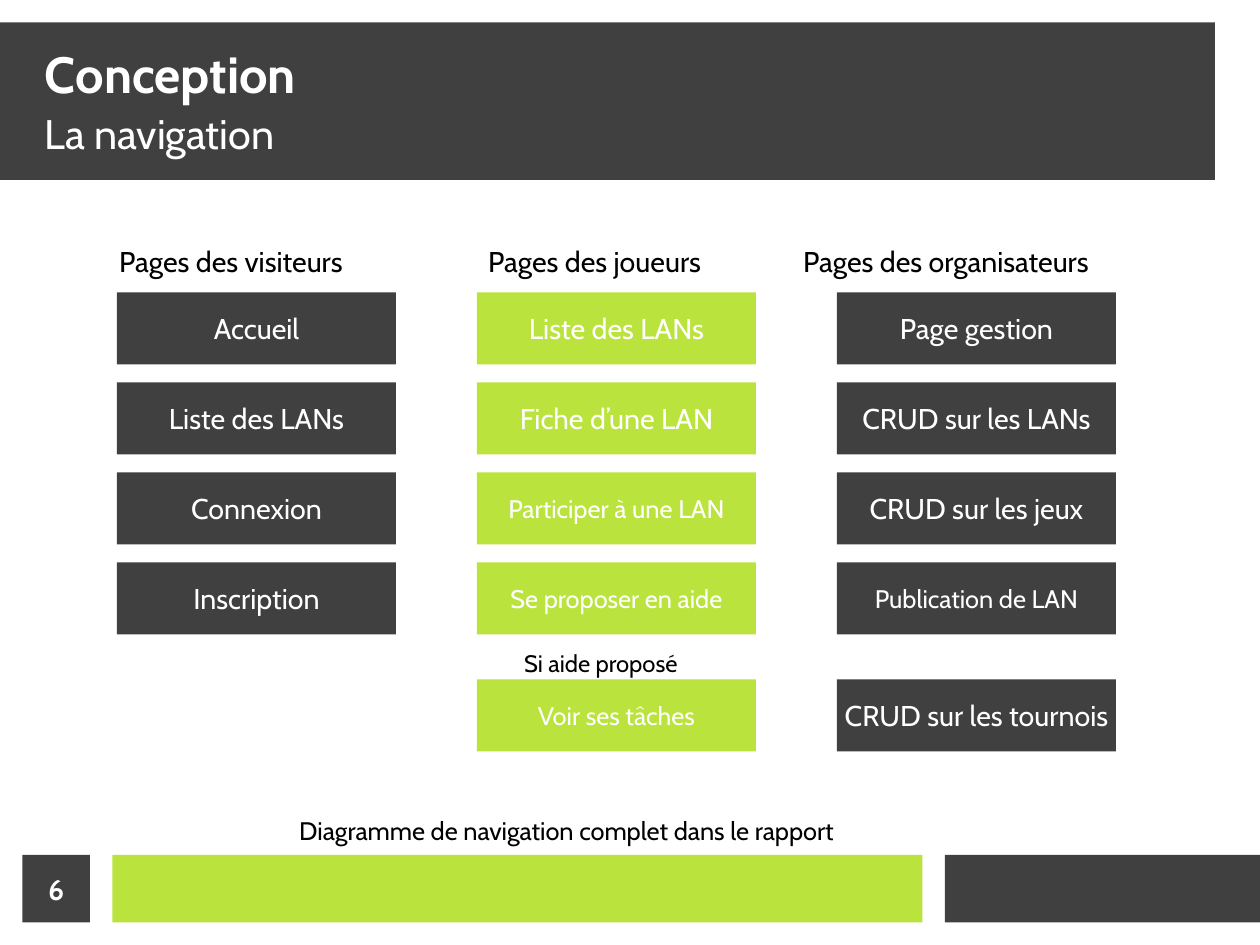
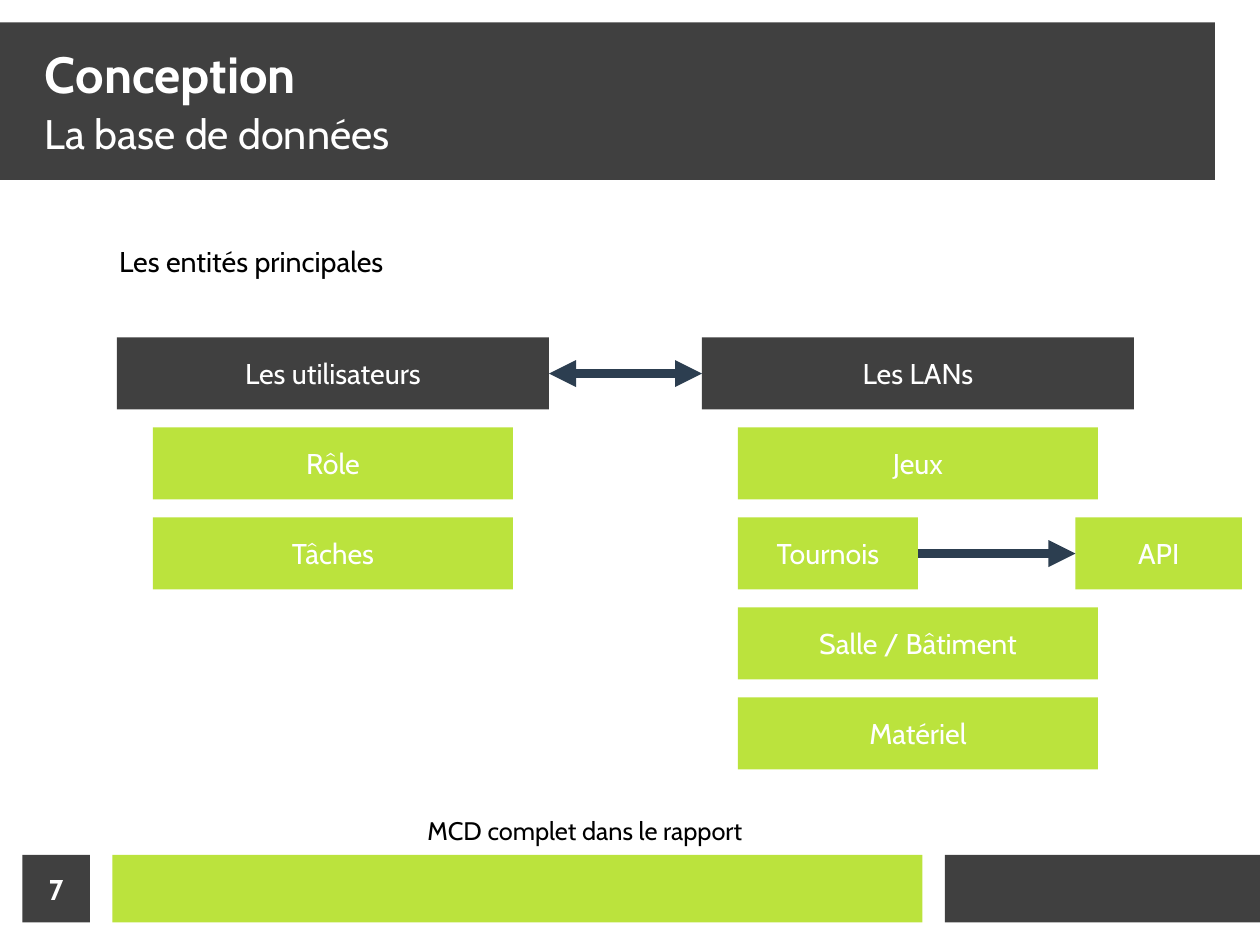
from lxml import etree
from pptx import Presentation
from pptx.dml.color import RGBColor
from pptx.enum.shapes import MSO_CONNECTOR, MSO_SHAPE
from pptx.enum.text import MSO_ANCHOR, MSO_AUTO_SIZE, PP_ALIGN
from pptx.oxml.ns import qn
from pptx.util import Cm, Pt

DARK = RGBColor(0x40, 0x40, 0x40)
GREEN = RGBColor(0xBB, 0xE3, 0x3D)
NAVY = RGBColor(0x2C, 0x3E, 0x50)
WHITE = RGBColor(0xFF, 0xFF, 0xFF)
BLACK = RGBColor(0, 0, 0)
RECT = MSO_SHAPE.RECTANGLE
STRAIGHT = MSO_CONNECTOR.STRAIGHT
LEFT, CENTER = PP_ALIGN.LEFT, PP_ALIGN.CENTER
TOP, MIDDLE, BOTTOM = MSO_ANCHOR.TOP, MSO_ANCHOR.MIDDLE, MSO_ANCHOR.BOTTOM
NO_FIT = MSO_AUTO_SIZE.NONE
FONT = "Cabin"
BOX_HEIGHT = 1.6
ROW_STEP = 2
SIDE_LEFT, SIDE_RIGHT = 1, 3
BANDS = [(21, 19, 7, 1.5, DARK), (0, 0.5, 27, 3.5, DARK), (2.5, 19, 18, 1.5, GREEN)]


class Deck:
    """Hold the shared style and the slide being built."""

    def __init__(self):
        self.prs = Presentation()
        self.prs.slide_width, self.prs.slide_height = Cm(28), Cm(21)
        self.layout = self.prs.slide_layouts[0]
        self.s = None

    def new_slide(self, number, title, subtitle):
        """Add a slide with its titles and number."""
        first = self.s is None
        self.s = self.prs.slides.add_slide(self.layout)
        if first:
            self.add_bands()
        self.heading(self.s.shapes.title, 0.8, title, 32, True)
        self.heading(self.s.placeholders[1], 2, subtitle, 26, False)
        sp = self.rect(0.5, 19, 1.5, 1.5, DARK)
        self.put_text(sp, str(number), 18, WHITE, CENTER, MIDDLE, bold=True)

    def add_bands(self):
        """Move the shared bands to the back of the layout."""
        tree = self.layout.shapes.element
        for i, band in enumerate(BANDS):
            el = self.rect(*band).element
            el.xpath(".//p:cNvPr")[0].set("id", str(100 + i))
            tree.insert(2 + i, el)

    def heading(self, sp, y, text, size, bold):
        """Place and fill a title placeholder."""
        sp.left, sp.top, sp.width, sp.height = Cm(1), Cm(y), Cm(26), Cm(1.5)
        self.put_text(sp, text, size, WHITE, LEFT, BOTTOM, bold=bold)
        tf = sp.text_frame
        tf.margin_left = tf.margin_right = tf.margin_top = tf.margin_bottom = 0

    def put_text(self, sp, text, size, color, align, anchor, bold=False, wrap=True):
        """Put one formatted run in a shape."""
        tf = sp.text_frame
        tf.auto_size, tf.word_wrap, tf.vertical_anchor = NO_FIT, wrap, anchor
        p = tf.paragraphs[0]
        p.alignment, p.space_before = align, Pt(0)
        r = p.add_run()
        r.text = text
        r.font.name, r.font.size, r.font.bold = FONT, Pt(size), bold
        r.font.color.rgb = color

    def rect(self, x, y, w, h, color):
        """Add a plain filled rectangle."""
        sp = self.s.shapes.add_shape(RECT, Cm(x), Cm(y), Cm(w), Cm(h))
        sp.shadow.inherit = False
        sp.fill.solid()
        sp.fill.fore_color.rgb = color
        sp.line.fill.background()
        return sp

    def box(self, x, y, w, text, color, size=18):
        """Add a labelled box."""
        sp = self.rect(x, y, w, BOX_HEIGHT, color)
        self.put_text(sp, text, size, WHITE, CENTER, MIDDLE, wrap=False)
        return sp

    def label(self, x, y, w, text, size=18):
        """Add a line of black text."""
        sp = self.s.shapes.add_textbox(Cm(x), Cm(y), Cm(w), Cm(1))
        self.put_text(sp, text, size, BLACK, LEFT, TOP)

    def arrow(self, start, end, both=False):
        """Join the facing sides of two boxes."""
        c = self.s.shapes.add_connector(STRAIGHT, 0, 0, 0, 0)
        c.begin_connect(start, SIDE_RIGHT)
        c.end_connect(end, SIDE_LEFT)
        c.line.color.rgb, c.line.width = NAVY, Pt(5.67)
        ln = c.element.spPr.find(qn("a:ln"))
        for tag in ("a:headEnd", "a:tailEnd") if both else ("a:tailEnd",):
            etree.SubElement(ln, qn(tag), type="triangle")
        etree.SubElement(c.element.spPr, qn("a:effectLst"))


def navigation(deck):
    """Build the page navigation slide."""
    deck.new_slide(6, "Conception", "La navigation")
    rows = [6.5 + ROW_STEP * i for i in range(4)] + [15.1]
    columns = [
        (2.4, "Pages des visiteurs", DARK,
         [("Accueil", 18), ("Liste des LANs", 18), ("Connexion", 18), ("Inscription", 18)]),
        (10.6, "Pages des joueurs", GREEN,
         [("Liste des LANs", 18), ("Fiche d’une LAN", 18), ("Participer à une LAN", 16),
          ("Se proposer en aide", 16), ("Voir ses tâches", 16)]),
        (17.6, "Pages des organisateurs", DARK,
         [("Page gestion", 18), ("CRUD sur les LANs", 18), ("CRUD sur les jeux", 18),
          ("Publication de LAN", 16), ("CRUD sur les tournois", 18)]),
    ]
    for i, (label_x, name, color, pages) in enumerate(columns):
        deck.label(label_x, 5.3, 8.4, name)
        for y, (page, size) in zip(rows, pages):
            deck.box(2.6 + 8 * i, y, 6.2, page, color, size)
    deck.label(11.4, 14.3, 4.6, "Si aide proposé", 15)
    deck.label(6.4, 18, 14.8, "Diagramme de navigation complet dans le rapport", 16)


def database(deck):
    """Build the main entities slide."""
    deck.new_slide(7, "Conception", "La base de données")
    deck.label(2.4, 5.3, 8.6, "Les entités principales")
    deck.label(9.25, 18, 8.75, "MCD complet dans le rapport", 16)
    groups = [
        (2.6, "Les utilisateurs", [("Rôle", 8), ("Tâches", 8)]),
        (15.6, "Les LANs",
         [("Jeux", 8), ("Tournois", 4), ("Salle / Bâtiment", 8), ("Matériel", 8)]),
    ]
    boxes = {}
    for x, entity, parts in groups:
        boxes[entity] = deck.box(x, 7.5, 9.6, entity, DARK)
        for i, (part, w) in enumerate(parts, 1):
            boxes[part] = deck.box(x + 0.8, 7.5 + ROW_STEP * i, w, part, GREEN)
    api = deck.box(23.9, 11.5, 3.7, "API", GREEN)
    deck.arrow(boxes["Les utilisateurs"], boxes["Les LANs"], both=True)
    deck.arrow(boxes["Tournois"], api)


def main():
    """Build and save the presentation."""
    deck = Deck()
    navigation(deck)
    database(deck)
    deck.prs.save("out.pptx")


if __name__ == "__main__":
    main()
